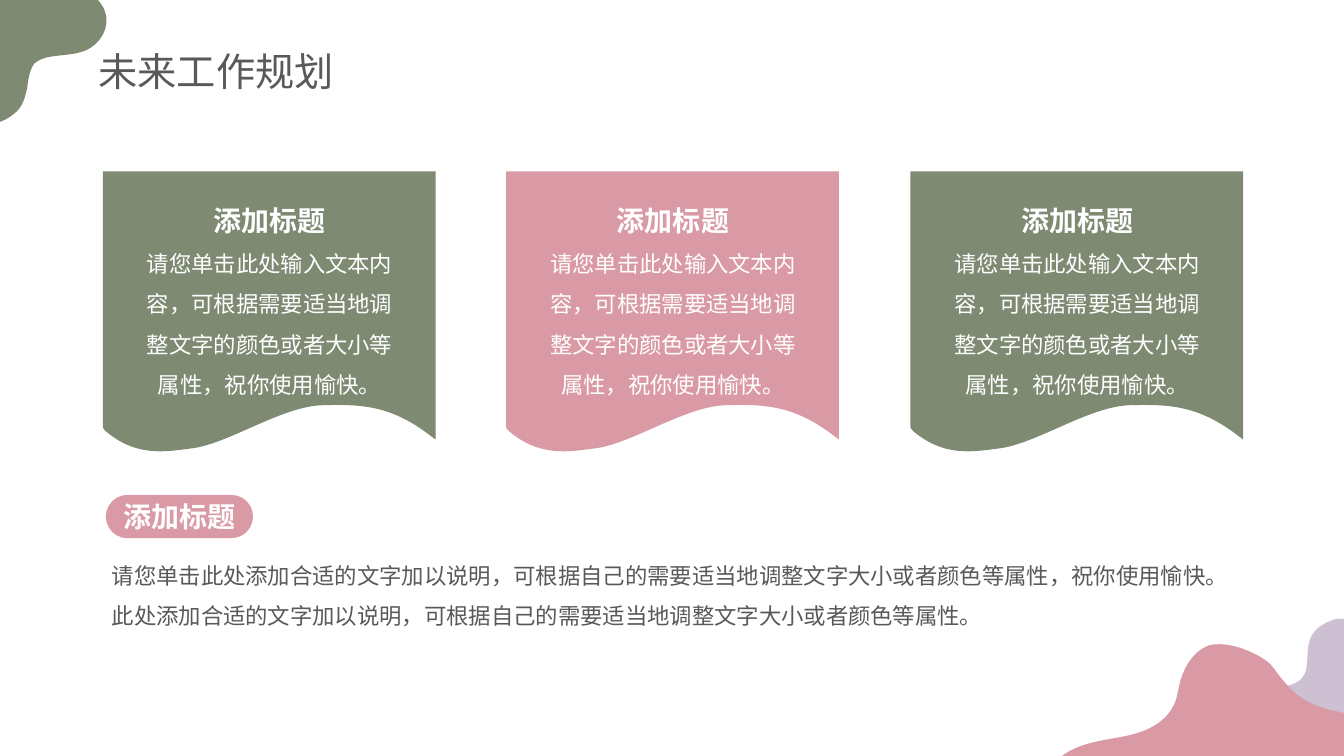
from lxml import etree
from math import cos, radians, sin

from pptx import Presentation
from pptx.dml.color import RGBColor
from pptx.enum.shapes import MSO_SHAPE
from pptx.enum.text import MSO_ANCHOR, MSO_AUTO_SIZE, PP_ALIGN
from pptx.oxml.ns import qn
from pptx.util import Inches, Pt

GREEN = RGBColor(0x7E, 0x8A, 0x72)
PINK = RGBColor(0xDA, 0x9A, 0xA5)
LILAC = RGBColor(0xCD, 0xC0, 0xD2)
GREY = RGBColor(0x59, 0x59, 0x59)
WHITE = RGBColor(0xFF, 0xFF, 0xFF)
LEFT, CENTER = PP_ALIGN.LEFT, PP_ALIGN.CENTER
MIDDLE = MSO_ANCHOR.MIDDLE
GROW = MSO_AUTO_SIZE.SHAPE_TO_FIT_TEXT
PILL = MSO_SHAPE.ROUNDED_RECTANGLE
FONT = "Arial"

TITLE = "未来工作规划"
HEAD = "添加标题"
BODY = "请您单击此处输入文本内容，可根据需要适当地调整文字的颜色或者大小等属性，祝你使用愉快。"
NOTES = [
    "请您单击此处添加合适的文字加以说明，可根据自己的需要适当地调整文字大小或者颜色等属性，祝你使用愉快。",
    "此处添加合适的文字加以说明，可根据自己的需要适当地调整文字大小或者颜色等属性。",
]

CARDS = [(1.02, GREEN), (5.02, PINK), (9.03, GREEN)]
CARD_TOP, CARD_WIDE, CARD_HIGH = 1.7, 3.3, 2.78

FLAG = [
    (0, 0), (3.3, 0), (3.3, 2.66), (3.26, 2.63),
    (2.86, 2.32, 2.57, 2.31, 2.18, 2.32),
    (1.77, 2.33, 1.24, 2.71, 0.87, 2.75),
    (0.63, 2.78, 0.33, 2.84, 0.02, 2.57),
    (0, 2.54),
]
CORNER = [
    (0.59, 0.55),
    (0.5, 0.56, 0.41, 0.57, 0.34, 0.63),
    (0.29, 0.7, 0.28, 0.79, 0.27, 0.87),
    (0.25, 0.96, 0.23, 1.04, 0.17, 1.1),
    (0.11, 1.16, 0.04, 1.2, -0.04, 1.22),
    (-0.08, 1.22, -0.13, 1.23, -0.17, 1.22),
    (-0.19, 1.21, -0.2, 1.2, -0.21, 1.18),
    (-0.21, 1.18, -0.21, 1.18, -0.21, 1.18),
    (-0.22, 1.18, -0.23, 1.17, -0.23, 1.17),
    (-0.4, 1.09, -0.54, 0.94, -0.62, 0.77),
    (-0.66, 0.68, -0.69, 0.59, -0.69, 0.5),
    (-0.68, 0.4, -0.64, 0.32, -0.56, 0.27),
    (-0.49, 0.22, -0.4, 0.19, -0.36, 0.1),
    (-0.33, 0.01, -0.33, -0.09, -0.31, -0.18),
    (-0.28, -0.26, -0.23, -0.34, -0.14, -0.36),
    (-0.06, -0.38, 0.03, -0.36, 0.1, -0.31),
    (0.18, -0.26, 0.24, -0.18, 0.32, -0.12),
    (0.39, -0.07, 0.46, -0.05, 0.54, -0.07),
    (0.69, -0.09, 0.85, -0.14, 0.98, 0.01),
    (1.13, 0.18, 1.04, 0.4, 0.87, 0.49),
    (0.79, 0.53, 0.69, 0.54, 0.59, 0.55),
]
HILL = [
    (13.45, 7.55), (12.01, 7.55), (12.03, 7.55),
    (12.4, 7.46, 12.03, 6.87, 12.63, 6.82),
    (13.26, 6.79, 12.69, 6.31, 13.25, 6.14),
    (13.45, 6.14),
]
WAVE = [
    (10.33, 8.13),
    (10.33, 8.13, 10.33, 8.13, 10.33, 8.13),
    (10.25, 7.87, 10.37, 7.58, 10.61, 7.45),
    (10.9, 7.29, 11.28, 7.36, 11.53, 7.14),
    (11.6, 7.08, 11.65, 7, 11.67, 6.92),
    (11.69, 6.84, 11.7, 6.76, 11.73, 6.69),
    (11.78, 6.56, 11.87, 6.44, 12, 6.4),
    (12.14, 6.37, 12.31, 6.42, 12.43, 6.48),
    (12.49, 6.51, 12.55, 6.54, 12.6, 6.59),
    (12.66, 6.66, 12.71, 6.74, 12.77, 6.8),
    (12.89, 6.94, 13.05, 7.01, 13.22, 7.05),
    (13.37, 7.08, 13.51, 7.11, 13.62, 7.21),
    (13.72, 7.31, 13.78, 7.44, 13.77, 7.59),
    (13.76, 7.71, 13.7, 7.83, 13.59, 7.89),
    (13.46, 7.96, 13.3, 7.95, 13.17, 7.92),
    (13.01, 7.89, 12.85, 7.83, 12.68, 7.86),
    (12.5, 7.88, 12.37, 7.98, 12.24, 8.1),
    (12.12, 8.21, 12, 8.32, 11.84, 8.33),
    (11.69, 8.34, 11.57, 8.28, 11.46, 8.19),
    (11.34, 8.08, 11.22, 7.98, 11.05, 7.98),
    (10.97, 7.98, 10.89, 8, 10.83, 8.04),
    (10.78, 8.07, 10.74, 8.1, 10.72, 8.15),
    (10.71, 8.18, 10.71, 8.22, 10.69, 8.25),
    (10.65, 8.35, 10.51, 8.36, 10.43, 8.3),
    (10.38, 8.26, 10.35, 8.2, 10.33, 8.13),
]
BLOBS = [
    (CORNER, (-0.59, -0.49, 1.38, 1.71), GREEN, 221.8),
    (HILL, (12.01, 6.14, 1.44, 1.41), LILAC, 180),
    (WAVE, (10.43, 6.61, 3.15, 2.26), PINK, 320.4),
]


def paint(shape, color):
    shape.shadow.inherit = False
    shape.fill.solid()
    shape.fill.fore_color.rgb = color
    shape.line.fill.background()


def draw(slide, rows, box, color, angle=0):
    left, top, wide, high = box
    c, s = cos(radians(angle)), sin(radians(angle))
    edges = [(left + wide, top), (left + wide, top + high), (left, top + high)]
    pen = slide.shapes.build_freeform(Inches(left), Inches(top), scale=1.0)
    pen.add_line_segments([(Inches(x), Inches(y)) for x, y in edges])
    shape = pen.convert_to_shape()
    line = next(shape.element.iter(qn("a:path")))
    for part in list(line):
        line.remove(part)
    for index, row in enumerate(rows):
        kind = "cubicBezTo" if len(row) == 6 else "lnTo" if index else "moveTo"
        part = etree.SubElement(line, qn("a:" + kind))
        for x, y in zip(row[0::2], row[1::2]):
            dx, dy = x - left - wide / 2, y - top - high / 2
            spot = etree.SubElement(part, qn("a:pt"))
            spot.set("x", str(Inches(wide / 2 + dx * c + dy * s)))
            spot.set("y", str(Inches(high / 2 - dx * s + dy * c)))
    etree.SubElement(line, qn("a:close"))
    shape.rotation = angle
    paint(shape, color)


def write(frame, lines, color, align=LEFT, space=None):
    frame.word_wrap = True
    frame.text = "\n".join(text for text, size, bold in lines)
    for para, (text, size, bold) in zip(frame.paragraphs, lines):
        para.alignment = align
        para.line_spacing = space
        font = para.runs[0].font
        font.name, font.size, font.bold = FONT, Pt(size), bold
        font.color.rgb = color


def add_text(slide, box, *style):
    frame = slide.shapes.add_textbox(*map(Inches, box)).text_frame
    write(frame, *style)
    frame.auto_size = GROW
    return frame


def main():
    deck = Presentation()
    deck.slide_width, deck.slide_height = Inches(13.33), Inches(7.5)
    slide = deck.slides.add_slide(deck.slide_layouts[6])

    for blob in BLOBS:
        draw(slide, *blob)
    add_text(slide, (0.88, 0.42, 3.03, 0.57), [(TITLE, 28, False)], GREY)

    for left, color in CARDS:
        rows = [
            tuple(v + (CARD_TOP if i % 2 else left) for i, v in enumerate(row))
            for row in FLAG
        ]
        draw(slide, rows, (left, CARD_TOP, CARD_WIDE, CARD_HIGH), color)
        lines = [(HEAD, 20, True), (BODY, 16, False)]
        box = (left + 0.38, CARD_TOP + 0.15, 2.55, 2.08)
        frame = add_text(slide, box, lines, WHITE, CENTER, 1.5)
        frame.margin_left = frame.margin_right = 0
        frame.margin_top = frame.margin_bottom = 0

    lines = [(note, 16, False) for note in NOTES]
    add_text(slide, (1.01, 5.39, 11.31, 0.86), lines, GREY, LEFT, 1.5)
    pill = slide.shapes.add_shape(PILL, *map(Inches, (1.05, 4.91, 1.46, 0.43)))
    pill.adjustments[0] = 0.5
    paint(pill, PINK)
    write(pill.text_frame, [(HEAD, 20, True)], WHITE, CENTER)
    pill.text_frame.vertical_anchor = MIDDLE

    deck.save("out.pptx")


if __name__ == "__main__":
    main()
